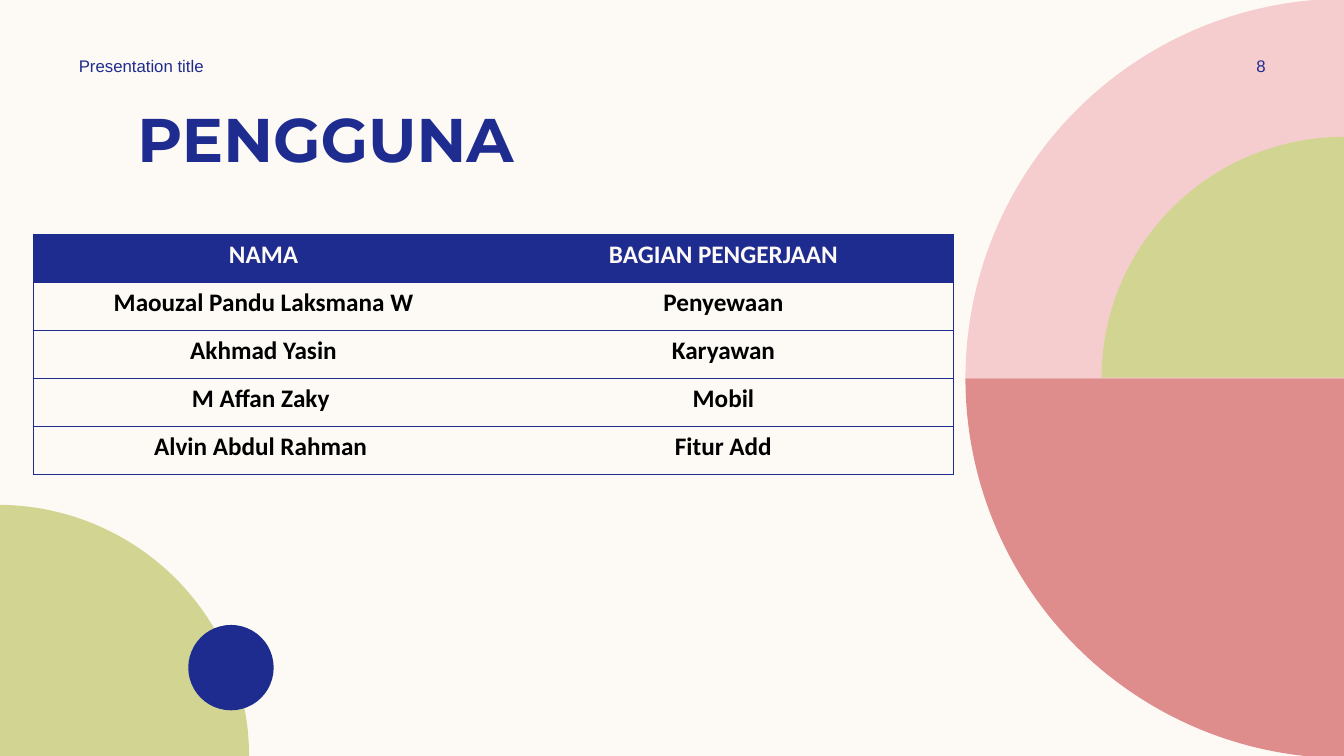
from lxml.etree import SubElement
from pptx import Presentation
from pptx.dml.color import RGBColor
from pptx.enum.shapes import MSO_SHAPE as Shape
from pptx.enum.text import MSO_ANCHOR as Anchor, PP_ALIGN as Align
from pptx.oxml.ns import qn
from pptx.util import Pt

CREAM = RGBColor(0xFD, 0xFA, 0xF6)
NAVY = RGBColor(0x1F, 0x2C, 0x8F)
PINK = RGBColor(0xF5, 0xCD, 0xCE)
ROSE = RGBColor(0xDE, 0x8C, 0x8C)
GREEN = RGBColor(0xD2, 0xD5, 0x92)
BLACK = RGBColor(0, 0, 0)

MEMBERS = [
    ("NAMA", "BAGIAN PENGERJAAN"),
    ("Maouzal Pandu Laksmana W", "Penyewaan"),
    ("Akhmad Yasin", "Karyawan"),
    ("M Affan Zaky ", "Mobil"),
    ("Alvin Abdul Rahman ", "Fitur Add"),
]


def write(para, text, size, font, color, bold=False, align=Align.LEFT):
    para.alignment = align
    span = para.add_run()
    span.text = text
    span.font.size = Pt(size)
    span.font.name = font
    span.font.bold = bold
    span.font.color.rgb = color


def add_round(page, kind, left, top, width, height, color, rotation=0):
    shape = page.shapes.add_shape(kind, Pt(left), Pt(top), Pt(width), Pt(height))
    shape.rotation = rotation
    shape.shadow.inherit = False
    shape.fill.solid()
    shape.fill.fore_color.rgb = color
    shape.line.fill.background()


def add_right_circles(page, left, top, radius):
    middle = top + radius
    add_round(page, Shape.PIE_WEDGE, left, top, radius, radius, PINK)
    add_round(page, Shape.PIE_WEDGE, left, middle, radius, radius, ROSE, 270)
    add_round(page, Shape.PIE_WEDGE, left + 97.2, middle - 172.6, 173.4, 172.1, GREEN)


def add_corner_circles(page, left, top, radius):
    add_round(page, Shape.PIE_WEDGE, left, top, radius, radius, GREEN, 90)
    add_round(page, Shape.OVAL, left + 136, top + 85.8, 61, 61, NAVY)


def add_title(page, left, top, width, height):
    title = page.shapes.title
    title.left, title.top, title.width, title.height = map(Pt, (left, top, width, height))
    frame = title.text_frame
    frame.vertical_anchor = Anchor.MIDDLE
    write(frame.paragraphs[0], "PENGGUNA", 44, "Montserrat", NAVY, True)


def add_label(page, left, top, width, height, text, align):
    box = page.shapes.add_textbox(Pt(left), Pt(top), Pt(width), Pt(height))
    frame = box.text_frame
    frame.word_wrap = True
    frame.vertical_anchor = Anchor.MIDDLE
    write(frame.paragraphs[0], text, 12, "Arial", NAVY, align=align)


def set_borders(cell, sides):
    properties = cell._tc.get_or_add_tcPr()
    for side in "LRTB":
        line = SubElement(properties, qn(f"a:ln{side}"), w=str(Pt(0.5)))
        if side in sides:
            fill = SubElement(line, qn("a:solidFill"))
            SubElement(fill, qn("a:srgbClr"), val=str(NAVY))
        else:
            SubElement(line, qn("a:noFill"))


def add_member_table(page, left, top, width, height):
    frame = page.shapes.add_table(
        len(MEMBERS), 2, Pt(left), Pt(top), Pt(width), Pt(height)
    )
    for row, member in enumerate(MEMBERS):
        for column, text in enumerate(member):
            cell = frame.table.cell(row, column)
            set_borders(cell, "TB" + "LR"[column])
            if row == 0:
                cell.fill.solid()
                cell.fill.fore_color.rgb = NAVY
            else:
                cell.fill.background()
            color = CREAM if row == 0 else BLACK
            para = cell.text_frame.paragraphs[0]
            write(para, text, 18, "Calibri", color, True, Align.CENTER)


def build_users_page(deck):
    page = deck.slides.add_slide(deck.slide_layouts[5])
    page.background.fill.solid()
    page.background.fill.fore_color.rgb = CREAM
    add_right_circles(page, 689.6, -0.9, 271.2)
    add_corner_circles(page, -1.5, 360.6, 179.4)
    add_title(page, 91, 68, 533, 60.5)
    add_label(page, 49.2, 36, 252, 21.6, "Presentation title", Align.LEFT)
    add_label(page, 862, 36, 77.5, 21.6, "8", Align.CENTER)
    add_member_table(page, 24, 167.2, 657, 172)


def main():
    deck = Presentation()
    deck.slide_width, deck.slide_height = Pt(960), Pt(540)
    build_users_page(deck)
    deck.save("out.pptx")


if __name__ == "__main__":
    main()
